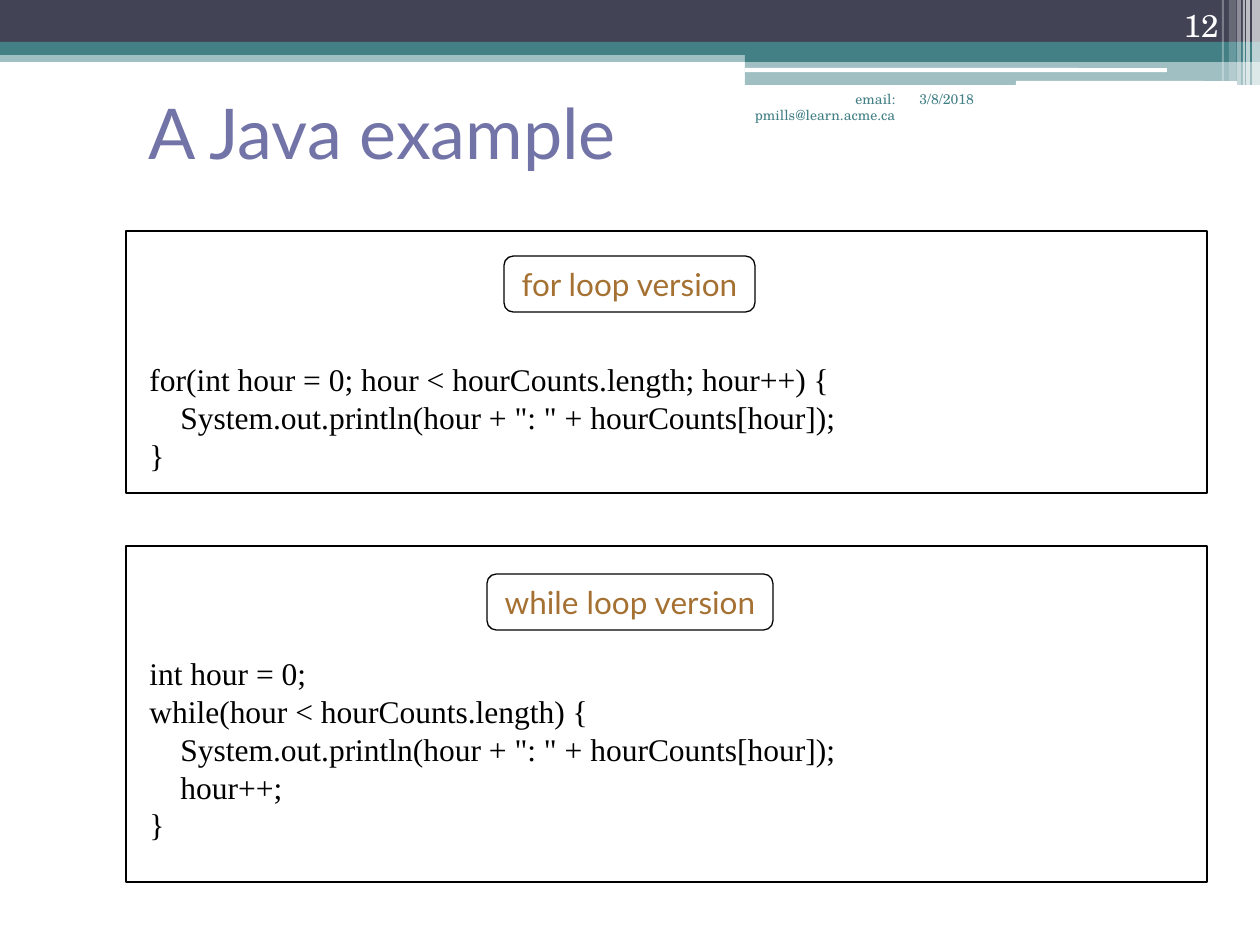
from lxml import etree
from pptx import Presentation
from pptx.dml.color import RGBColor
from pptx.enum.shapes import MSO_SHAPE
from pptx.enum.text import MSO_ANCHOR, MSO_AUTO_SIZE, PP_ALIGN
from pptx.oxml.ns import qn
from pptx.util import Emu, Pt

RECT, ROUND = MSO_SHAPE.RECTANGLE, MSO_SHAPE.ROUNDED_RECTANGLE
LEFT, CENTER, RIGHT = PP_ALIGN.LEFT, PP_ALIGN.CENTER, PP_ALIGN.RIGHT
TOP, MIDDLE, BOTTOM = MSO_ANCHOR.TOP, MSO_ANCHOR.MIDDLE, MSO_ANCHOR.BOTTOM
NO_AUTOFIT = MSO_AUTO_SIZE.NONE

SCALE = 914400 / 126
INDENT = 31
COLORS = {"navy": "424456", "teal": "438086", "white": "FFFFFF",
          "violet": "7273A7", "brown": "A57133", "black": "000000"}

BANDS = [
    (RECT, (0, 50, 1260, 12), "teal", 50),
    (RECT, (0, 0, 1260, 42), "navy", 100),
    (RECT, (0, 42, 1260, 13), "teal", 100),
    (RECT, (745, 49, 515, 13), "teal", 100),
    (RECT, (745, 61, 515, 24), "teal", 50),
    (ROUND, (745, 68, 422, 4), "white", 100),
    (ROUND, (1016, 81, 221, 5), "white", 100),
]
STRIPES = [(1252, 8, 85, 65), (1246, 4, 85, 65), (1243, 2, 85, 60),
           (1237, 4, 85, 40), (1229, 7, 81, 20), (1222, 2, 81, 30)]

STYLES = {
    "title": {"size": 40, "font": "Lato", "color": "violet", "align": LEFT, "anchor": MIDDLE},
    "date": {"size": 8, "font": "TeX Gyre Schola", "color": "teal", "align": LEFT, "anchor": TOP},
    "email": {"size": 8, "font": "TeX Gyre Schola", "color": "teal", "align": RIGHT, "anchor": TOP},
    "number": {"size": 18, "font": "TeX Gyre Schola", "color": "white", "align": RIGHT, "anchor": BOTTOM},
    "code": {"size": 18, "font": "Times New Roman", "color": "black", "align": LEFT, "anchor": TOP},
    "label": {"size": 18, "font": "Lato", "color": "brown", "align": CENTER, "anchor": MIDDLE},
}

TITLE = ("A Java example", (136, 53, 1071, 158))
HEADER = [
    ("date", "3/8/2018", (907, 84, 132, 63)),
    ("email", "email: pmills@learn.acme.ca", (725, 84, 183, 63)),
    ("number", "12", (1126, 0, 105, 50)),
]
PRINT_LINE = (1, 'System.out.println(hour + ": " + hourCounts[hour]);')
VERSIONS = [
    {"label": "for loop version", "label_box": (504, 256, 251, 56),
     "frame": (126, 231, 1081, 262), "code_box": (137, 354, 1065, 126),
     "code": [(0, "for(int hour = 0; hour < hourCounts.length; hour++) {"),
              PRINT_LINE, (0, "}")]},
    {"label": "while loop version", "label_box": (487, 574, 286, 56),
     "frame": (126, 546, 1081, 336), "code_box": (137, 648, 1065, 202),
     "code": [(0, "int hour = 0;"), (0, "while(hour < hourCounts.length) {"),
              PRINT_LINE, (1, "hour++;"), (0, "}")]},
]


def px(value):
    return Emu(round(value * SCALE))


def rgb(name):
    return RGBColor.from_string(COLORS[name])


def add_block(slide, preset, box, fill=None, opacity=100, line=None):
    block = slide.shapes.add_shape(preset, *map(px, box))
    block.shadow.inherit = False
    if fill:
        block.fill.solid()
        block.fill.fore_color.rgb = rgb(fill)
        if opacity < 100:
            color = block.fill._xPr.find(qn("a:solidFill"))[0]
            etree.SubElement(color, qn("a:alpha"), val=str(opacity * 1000))
    else:
        block.fill.background()
    if line:
        block.line.color.rgb = rgb(line)
        block.line.width = Pt(0.75)
    else:
        block.line.fill.background()
    return block


def write(part, lines, style, wrap=True):
    frame = part.text_frame
    settings = {"word_wrap": wrap, "auto_size": NO_AUTOFIT,
                "vertical_anchor": style["anchor"]}
    for name, value in settings.items():
        setattr(frame, name, value)
    frame.text = "\n".join(text for _, text in lines)
    font_values = {"size": Pt(style["size"]), "name": style["font"], "bold": False}
    for (level, _), paragraph in zip(lines, frame.paragraphs):
        paragraph.alignment = style["align"]
        if level:
            paragraph._p.get_or_add_pPr().set("marL", str(px(level * INDENT)))
        font = paragraph.runs[0].font
        for name, value in font_values.items():
            setattr(font, name, value)
        font.color.rgb = rgb(style["color"])


def add_text(slide, box, lines, style):
    write(slide.shapes.add_textbox(*map(px, box)), lines, style)


def main():
    deck = Presentation()
    deck.slide_width, deck.slide_height = px(1260), px(945)
    slide = deck.slides.add_slide(deck.slide_layouts[5])

    for preset, box, fill, opacity in BANDS:
        add_block(slide, preset, box, fill, opacity)
    for left, width, height, opacity in STRIPES:
        add_block(slide, RECT, (left, 0, width, height), "white", opacity)

    title = slide.shapes.title
    heading, title_box = TITLE
    for side, value in zip(("left", "top", "width", "height"), title_box):
        setattr(title, side, px(value))
    write(title, [(0, heading)], STYLES["title"])

    for role, text, box in HEADER:
        add_text(slide, box, [(0, text)], STYLES[role])

    for version in VERSIONS:
        add_block(slide, RECT, version["frame"], line="black")
        add_text(slide, version["code_box"], version["code"], STYLES["code"])
        label = add_block(slide, ROUND, version["label_box"], line="black")
        write(label, [(0, version["label"])], STYLES["label"], wrap=False)

    deck.save("out.pptx")


if __name__ == "__main__":
    main()
